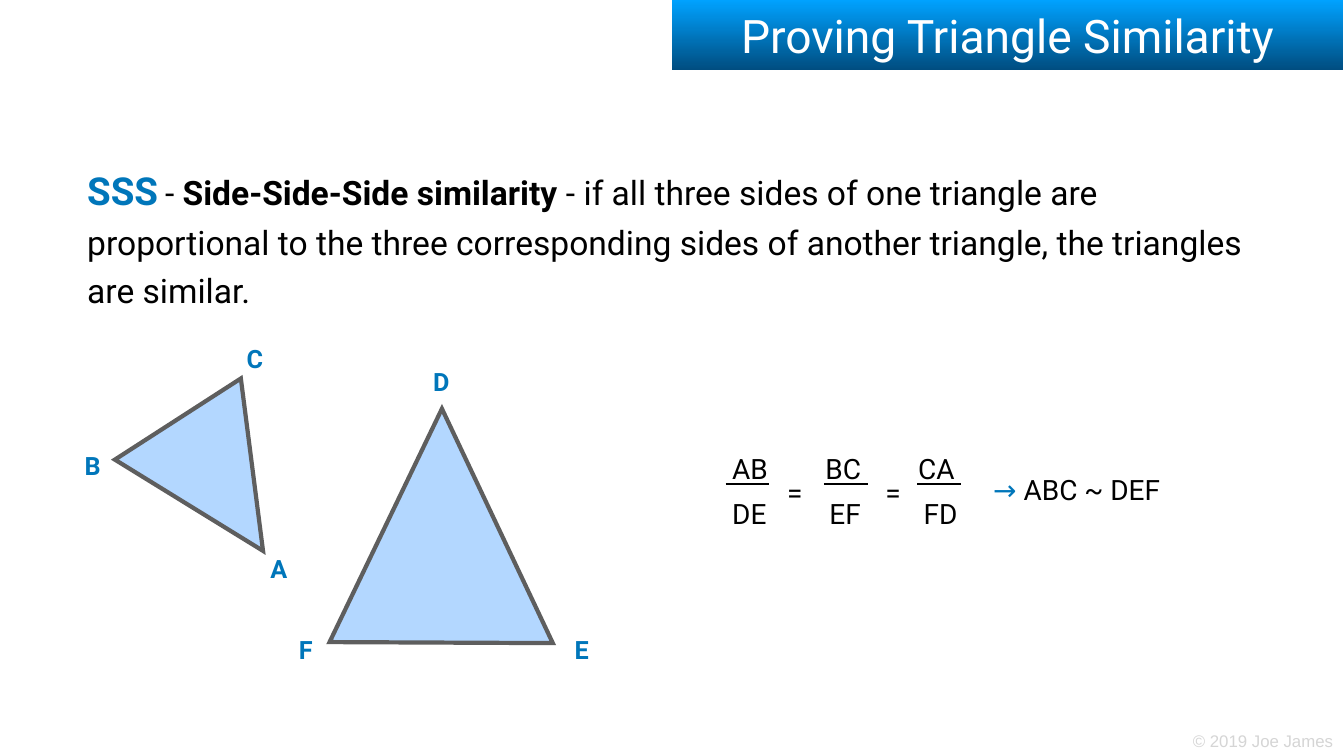
from dataclasses import dataclass

from lxml.etree import SubElement
from pptx import Presentation
from pptx.dml.color import RGBColor
from pptx.enum.shapes import MSO_CONNECTOR
from pptx.enum.text import MSO_ANCHOR, MSO_AUTO_SIZE, PP_ALIGN
from pptx.oxml.ns import qn
from pptx.util import Inches, Pt


@dataclass(frozen=True)
class Theme:
    font: str = "Roboto"
    plain: str = "Arial"
    black: str = "000000"
    white: str = "FFFFFF"
    blue: str = "0076BA"
    top: str = "00A2FF"
    base: str = "004D80"
    pale: str = "B3D7FF"
    edge: str = "5E5E5E"
    grey: str = "D5D5D5"
    title: int = 66
    lead: int = 55
    body: int = 48
    math: int = 40
    label: int = 36
    note: int = 24


THEME = Theme()


def color(code):
    return RGBColor.from_string(code)


def style(run, size, code, bold=False, font=THEME.font):
    run.font.name = font
    run.font.size = Pt(size)
    run.font.bold = bold
    run.font.color.rgb = color(code)


def set_frame(frame, anchor, wrap):
    frame.margin_left = frame.margin_right = Inches(0.06)
    frame.margin_top = frame.margin_bottom = Inches(0.06)
    frame.vertical_anchor = anchor
    frame.word_wrap = wrap


def add_text(slide, place, runs, anchor=MSO_ANCHOR.TOP, align=PP_ALIGN.LEFT,
             space=None, wrap=False):
    """Each run is (text, size, color) plus optional bold and font."""
    box = slide.shapes.add_textbox(*map(Inches, place))
    frame = box.text_frame
    set_frame(frame, anchor, wrap)
    frame.auto_size = MSO_AUTO_SIZE.SHAPE_TO_FIT_TEXT
    par = frame.paragraphs[0]
    par.alignment = align
    par.line_spacing = space
    for text, *look in runs:
        run = par.add_run()
        run.text = text
        style(run, *look)


def add_title(slide, text):
    title = slide.shapes.title
    title.left, title.top = Inches(13.33), Inches(0)
    title.width, title.height = Inches(13.33), Inches(1.39)
    title.fill.gradient()
    title.fill.gradient_angle = 270
    for stop, code in zip(title.fill.gradient_stops, (THEME.top, THEME.base)):
        stop.color.rgb = color(code)
    frame = title.text_frame
    frame.text = text
    set_frame(frame, MSO_ANCHOR.MIDDLE, True)
    frame.auto_size = MSO_AUTO_SIZE.NONE
    par = frame.paragraphs[0]
    par.alignment = PP_ALIGN.CENTER
    style(par.runs[0], THEME.title, THEME.white)


def add_shape(slide, points):
    start, *rest = [(Inches(x), Inches(y)) for x, y in points]
    path = slide.shapes.build_freeform(*start)
    path.add_line_segments(rest, close=True)
    shape = path.convert_to_shape()
    shape.shadow.inherit = False
    shape.fill.solid()
    shape.fill.fore_color.rgb = color(THEME.pale)
    shape.line.color.rgb = color(THEME.edge)
    shape.line.width = Pt(6)
    SubElement(shape.line._get_or_add_ln(), qn("a:miter"), lim="400000")


def add_label(slide, text, left, top, width):
    add_text(slide, (left, top, width, 0.71),
             [(text, THEME.label, THEME.blue, True)],
             MSO_ANCHOR.MIDDLE, PP_ALIGN.CENTER)


def add_math(slide, text, left, top, width):
    add_text(slide, (left, top, width, 0.76),
             [(text, THEME.math, THEME.black)], space=1.18)


def add_bar(slide, left):
    ends = map(Inches, (left, 9.61, left + 0.87, 9.61))
    line = slide.shapes.add_connector(MSO_CONNECTOR.STRAIGHT, *ends)
    line.line.color.rgb = color(THEME.black)
    line.line.width = Pt(3)
    SubElement(line._element.spPr, qn("a:effectLst"))


def main():
    deck = Presentation()
    deck.slide_width, deck.slide_height = Inches(26.67), Inches(15)
    slide = deck.slides.add_slide(deck.slide_layouts[5])

    # Title and footer
    add_title(slide, "Proving Triangle Similarity")
    add_text(slide, (23.61, 14.45, 2.91, 0.49),
             [("© 2019 Joe James", THEME.note, THEME.grey, False,
               THEME.plain)], MSO_ANCHOR.MIDDLE)

    # Triangles and their corners
    add_shape(slide, [(5.22, 10.93), (2.28, 9.12), (4.78, 7.51)])
    add_shape(slide, [(8.77, 8.11), (10.97, 12.76), (6.54, 12.74)])
    for label in (("A", 5.3, 10.93, 0.47), ("B", 1.6, 8.87, 0.48),
                  ("C", 4.81, 6.75, 0.5), ("D", 8.51, 7.21, 0.5),
                  ("E", 11.32, 12.53, 0.45), ("F", 5.86, 12.53, 0.42)):
        add_label(slide, *label)

    # Theorem
    add_text(slide, (1.67, 3.08, 23.12, 2.96), [
        ("SSS", THEME.lead, THEME.blue, True),
        (" ", THEME.math, THEME.black),
        ("- ", THEME.body, THEME.black),
        ("Side-Side-Side similarity", THEME.body, THEME.black, True),
        (" - if all three sides of one triangle are proportional to the "
         "three corresponding sides of another triangle, the triangles "
         "are similar.", THEME.body, THEME.black),
    ], space=1.2, wrap=True)

    # Equal ratios: bar, upper side, lower side
    for bar, upper, lower in (
            (14.4, ("AB", 14.47, 8.78, 0.87), ("DE", 14.47, 9.68, 0.86)),
            (16.35, ("BC", 16.32, 8.78, 0.91), ("EF", 16.4, 9.68, 0.78)),
            (18.2, ("CA", 18.16, 8.78, 0.89), ("FD", 18.27, 9.68, 0.84))):
        add_bar(slide, bar)
        add_math(slide, *upper)
        add_math(slide, *lower)
    for left in (15.56, 17.51):
        add_math(slide, "=", left, 9.25, 0.46)

    # Result
    add_text(slide, (19.65, 9.19, 3.82, 0.77),
             [("→", THEME.math, THEME.blue),
              (" ABC ~ DEF", THEME.math, THEME.black)], space=1.18)

    deck.save("out.pptx")


if __name__ == "__main__":
    main()
